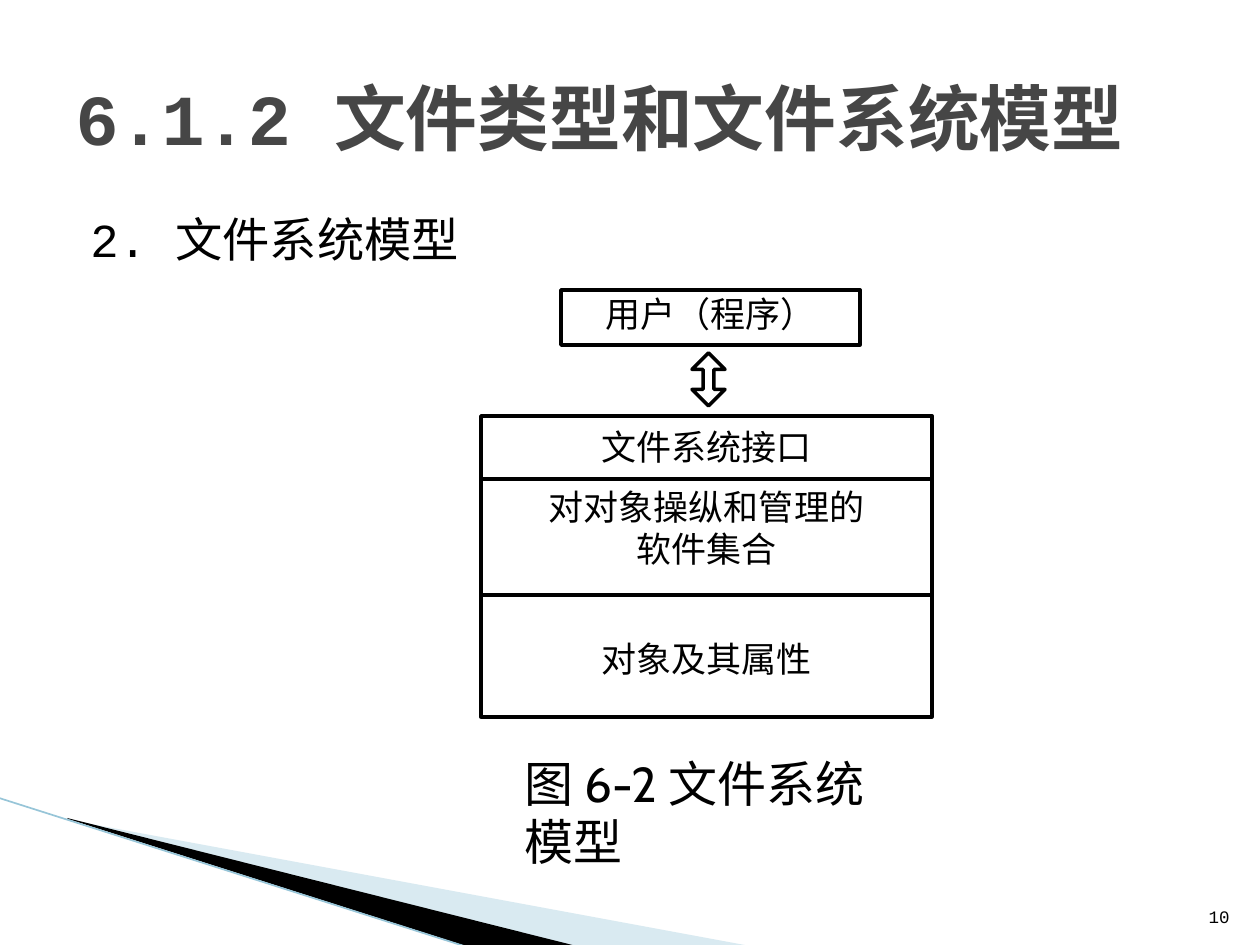
from lxml import etree
from pptx import Presentation
from pptx.dml.color import RGBColor
from pptx.enum import shapes, text
from pptx.oxml import ns
from pptx.util import Emu, Pt

PX = 914400 // 126
MONO, SANS = "Courier New", "Cabin"
LEFT, MID, RIGHT = text.PP_ALIGN.LEFT, text.PP_ALIGN.CENTER, text.PP_ALIGN.RIGHT
TOP, CENTER, BASE = (text.MSO_ANCHOR.TOP, text.MSO_ANCHOR.MIDDLE,
                     text.MSO_ANCHOR.BOTTOM)

TITLE = "6.1.2 文件类型和文件系统模型"
# words, box, font, size, alignment, anchor
NOTES = [
    ("2. 文件系统模型", (63, 204, 1134, 624), MONO, 27, LEFT, TOP),
    ("图 6-2 文件系统模型", (512, 747, 407, 63), SANS, 28, LEFT, TOP),
    ("10", (1192, 883, 50, 50), MONO, 10, RIGHT, BASE),
]
USER = [("用户（程序）", 0)]
# words, points of space before
LAYERS = [("文件系统接口", 0), ("对对象操纵和管理的", 10),
          ("软件集合", 0), ("对象及其属性", 39)]
STACK = (481, 416, 451, 301)
RULES = [479, 595]
# points, colour, percent opaque
WEDGES = [
    ([(69, 820), (750, 946), (575, 946), (69, 819)], "A0CBDC", 40),
    ([(67, 818), (576, 946), (469, 947), (68, 819)], "000000", 100),
]


def emu(nums):
    return [Emu(n * PX) for n in nums]


def rgb(code):
    return RGBColor.from_string(code)


def style(para, font, size, color="000000", align=LEFT, bold=False):
    para.alignment = align
    for run in para.runs:
        run.font.name, run.font.size, run.font.bold = font, Pt(size), bold
        run.font.color.rgb = rgb(color)


def block(slide, kind, box):
    """Add a white preset shape with a black outline."""
    shape = slide.shapes.add_shape(kind, *emu(box))
    shape.shadow.inherit = False
    shape.fill.solid()
    shape.fill.fore_color.rgb = rgb("FFFFFF")
    shape.line.color.rgb = rgb("000000")
    shape.line.width = Pt(2)
    return shape


def label(shape, lines, inset):
    frame = shape.text_frame
    frame.word_wrap, frame.vertical_anchor = True, TOP
    frame.margin_top, frame.margin_bottom = emu((inset, 3))
    frame.text = "\n".join(words for words, _ in lines)
    for para, (_, space) in zip(frame.paragraphs, lines):
        style(para, SANS, 20, align=MID)
        if space:
            para.space_before = Pt(space)


def rule(slide, ends, color, width):
    line = slide.shapes.add_connector(shapes.MSO_CONNECTOR.STRAIGHT, *emu(ends))
    line.line.color.rgb = rgb(color)
    line.line.width = Pt(width)
    etree.SubElement(line._element.spPr, ns.qn("a:effectLst"))


def wedge(slide, points, color, opaque):
    first, *rest = [emu(p) for p in points]
    path = slide.shapes.build_freeform(*first, scale=1.0)
    path.add_line_segments(rest, close=True)
    shape = path.convert_to_shape()
    shape.shadow.inherit = False
    shape.fill.solid()
    shape.fill.fore_color.rgb = rgb(color)
    shape.line.fill.background()
    if opaque < 100:
        tint = shape._element.spPr.find(".//" + ns.qn("a:srgbClr"))
        etree.SubElement(tint, ns.qn("a:alpha"), val=str(opaque * 1000))


def main():
    deck = Presentation()
    deck.slide_width, deck.slide_height = emu((1260, 945))
    slide = deck.slides.add_slide(deck.slide_layouts[5])

    for spec in WEDGES:
        wedge(slide, *spec)
    rule(slide, (-1, 798, 467, 947), "97C5D8", 0.95)

    title = slide.shapes.title
    title.left, title.top, title.width, title.height = emu((63, 38, 1134, 157))
    title.text_frame.text = TITLE
    title.text_frame.vertical_anchor = CENTER
    style(title.text_frame.paragraphs[0], MONO, 41, "464646", bold=True)

    for words, box, font, size, align, anchor in NOTES:
        frame = slide.shapes.add_textbox(*emu(box)).text_frame
        frame.word_wrap, frame.vertical_anchor = True, anchor
        frame.text = words
        style(frame.paragraphs[0], font, size, align=align)
        if words == NOTES[0][0]:
            props = frame.paragraphs[0]._p.get_or_add_pPr()
            props.set("marL", str(50 * PX))
            props.set("indent", str(-35 * PX))

    kinds = shapes.MSO_SHAPE
    label(block(slide, kinds.RECTANGLE, STACK), LAYERS, 10)
    label(block(slide, kinds.RECTANGLE, (561, 290, 299, 55)), USER, 3)
    arrow = block(slide, kinds.UP_DOWN_ARROW, (692, 353, 33, 53))
    arrow.adjustments[0], arrow.adjustments[1] = 0.5, 0.33
    left, _, width, _ = STACK
    for y in RULES:
        rule(slide, (left, y, left + width, y), "000000", 2)

    deck.save("out.pptx")


if __name__ == "__main__":
    main()
